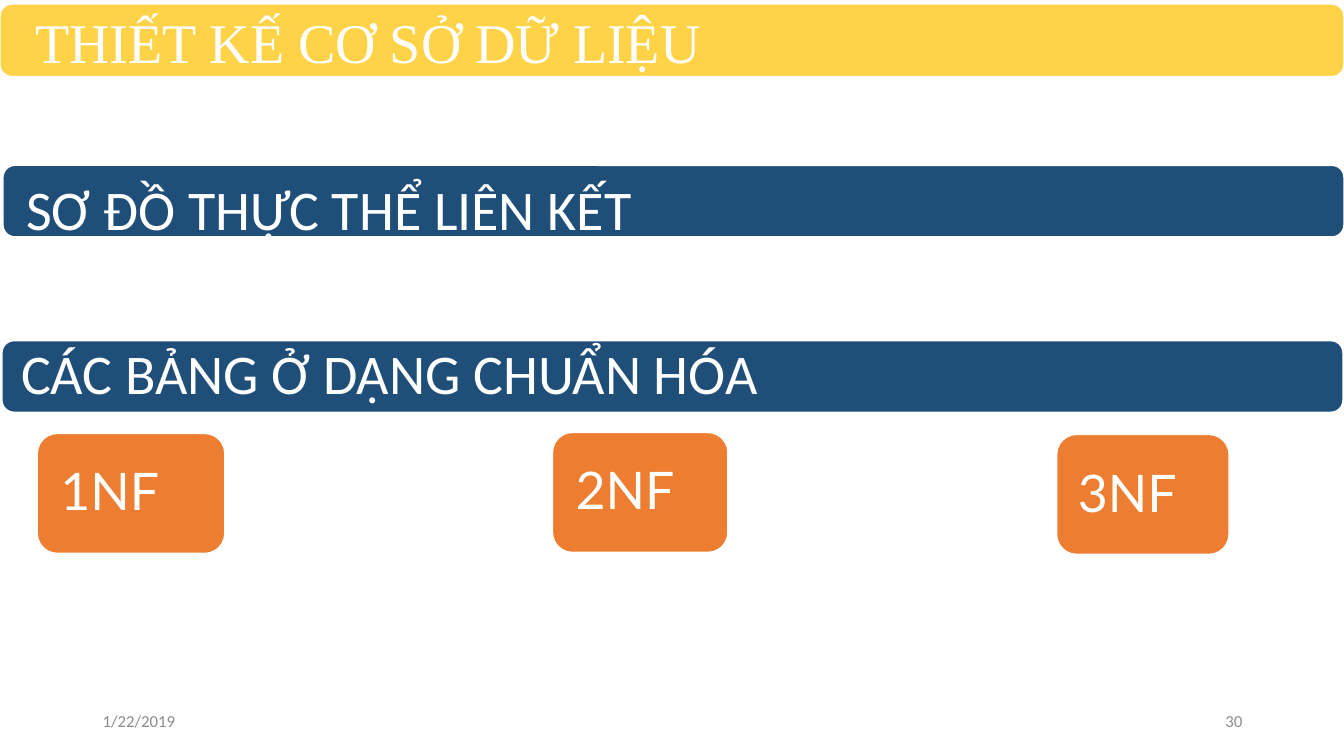
from pptx import Presentation
from pptx.dml.color import RGBColor
from pptx.enum.shapes import MSO_SHAPE
from pptx.enum.text import MSO_ANCHOR, PP_ALIGN
from pptx.util import Inches, Pt

WHITE = RGBColor(0xFF, 0xFF, 0xFF)
YELLOW = RGBColor(0xFF, 0xD3, 0x47)
NAVY = RGBColor(0x1F, 0x4E, 0x79)
ORANGE = RGBColor(0xED, 0x7D, 0x31)
GRAY = RGBColor(0x8C, 0x8C, 0x8C)

prs = Presentation()
prs.slide_width, prs.slide_height = Inches(13.33), Inches(7.5)
slide = prs.slides.add_slide(prs.slide_layouts[6])


def add_panel(box, color):
    panel = slide.shapes.add_shape(MSO_SHAPE.ROUNDED_RECTANGLE, *map(Inches, box))
    panel.shadow.inherit = False
    panel.fill.solid()
    panel.fill.fore_color.rgb = color
    panel.line.color.rgb = WHITE
    panel.line.width = Pt(1)


def add_label(text, box, font, size, color=WHITE, margins=(0.21, 0), spacing=1.0,
              align=PP_ALIGN.LEFT):
    frame = slide.shapes.add_textbox(*map(Inches, box)).text_frame
    side, edge = map(Inches, margins)
    frame_format = {"word_wrap": True, "vertical_anchor": MSO_ANCHOR.MIDDLE,
                    "margin_left": side, "margin_right": side,
                    "margin_top": edge, "margin_bottom": edge}
    for name, value in frame_format.items():
        setattr(frame, name, value)
    paragraph = frame.paragraphs[0]
    paragraph.alignment = align
    paragraph.line_spacing = spacing
    run = paragraph.add_run()
    run.text = text
    for name, value in {"name": font, "size": Pt(size)}.items():
        setattr(run.font, name, value)
    run.font.color.rgb = color


# Title and section bars
bars = [
    ("THIẾT KẾ CƠ SỞ DỮ LIỆU", "Times New Roman", YELLOW,
     (0, 0.04, 13.33, 0.72), (0.14, 0.08, 13.05, 0.65)),
    ("SƠ ĐỒ THỰC THỂ LIÊN KẾT", "Calibri", NAVY,
     (0.03, 1.64, 13.3, 0.71), (0.05, 1.71, 11.49, 0.71)),
    ("CÁC BẢNG Ở DẠNG CHUẨN HÓA", "Calibri", NAVY,
     (0.02, 3.38, 13.3, 0.71), (0, 3.34, 11.49, 0.71)),
]
for text, font, color, bar_box, label_box in bars:
    add_panel(bar_box, color)
    add_label(text, label_box, font, 40)

# Normal forms
normal_forms = [
    ("1NF", (0.37, 4.3, 1.86, 1.19), (0.39, 4.36, 1.82, 1.08)),
    ("2NF", (5.48, 4.29, 1.74, 1.19), (5.5, 4.35, 1.94, 1.08)),
    ("3NF", (10.48, 4.31, 1.71, 1.19), (10.48, 4.38, 3.12 - 0.3, 1.08)),
]
for text, card_box, label_box in normal_forms:
    add_panel(card_box, ORANGE)
    add_label(text, label_box, "Lato", 37, spacing=0.9)

# Date and slide number
for text, left, align in [("1/22/2019", 0.92, PP_ALIGN.LEFT), ("30", 9.42, PP_ALIGN.RIGHT)]:
    add_label(text, (left, 6.95, 3, 0.4), "Calibri", 12, GRAY, (0.1, 0.05), align=align)

prs.save("out.pptx")
